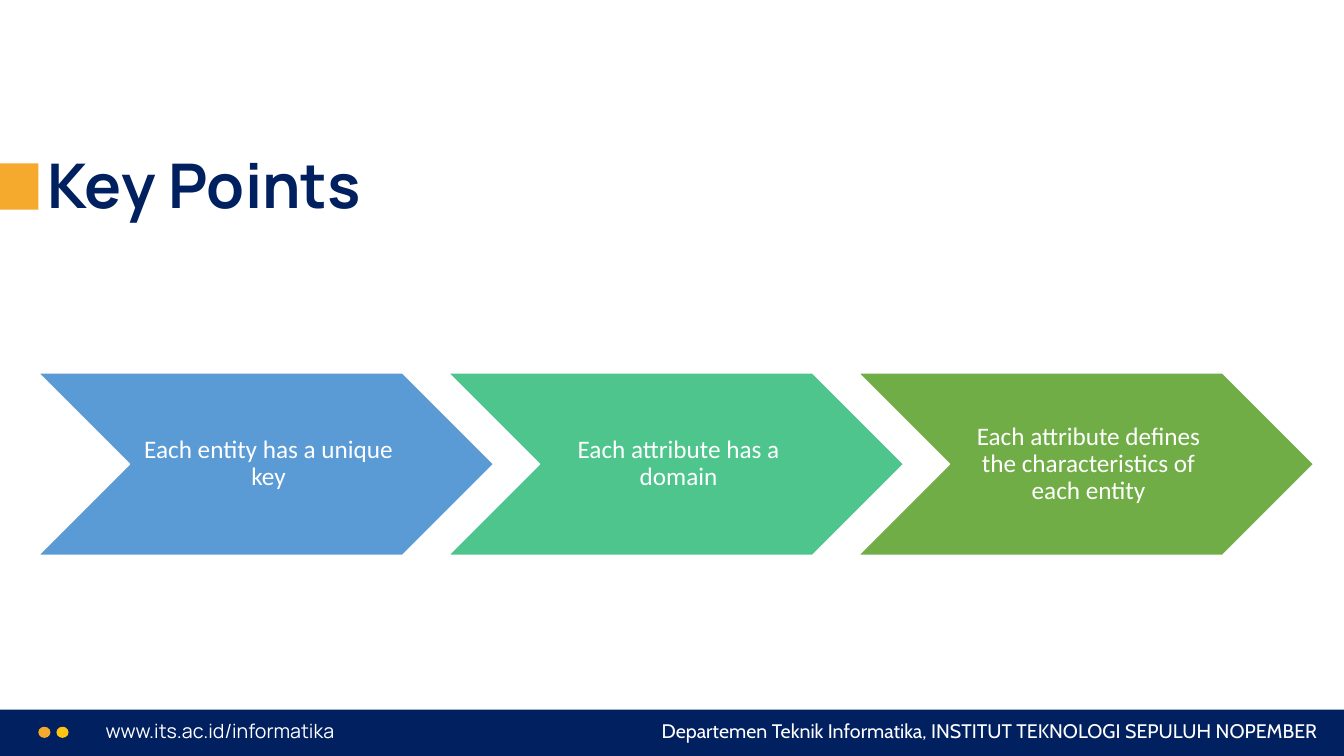
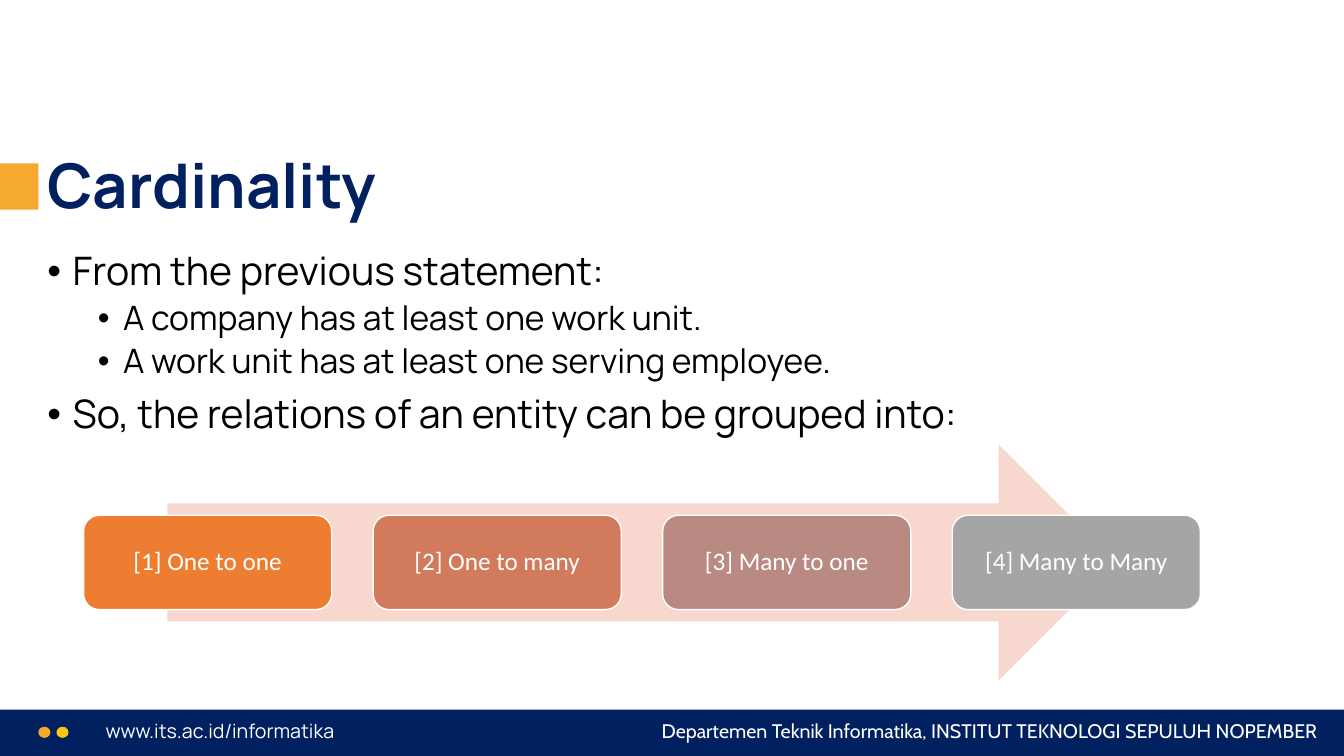
from dataclasses import dataclass

from pptx import Presentation
from pptx.dml.color import RGBColor
from pptx.enum.shapes import MSO_SHAPE as Preset
from pptx.enum.text import MSO_ANCHOR as Anchor, MSO_AUTO_SIZE as AutoSize, PP_ALIGN as Align
from pptx.oxml.ns import qn
from pptx.util import Inches, Pt
from lxml.etree import SubElement


@dataclass(frozen=True)
class Theme:
    navy: str = "002060"
    orange: str = "F5AA2D"
    yellow: str = "FFC411"
    white: str = "FFFFFF"
    black: str = "000000"
    arrow: str = "F8D7CE"
    chevrons: tuple = ("5B9BD5", "4DC58D", "70AD47")
    cards: tuple = ("ED7D31", "D17B5C", "B98A82", "A5A5A5")
    heading_font: str = "Manrope"
    footer_font: str = "Cabin"
    diagram_font: str = "Calibri"
    title_size: int = 44
    list_sizes: tuple = (28, 24)
    diagram_size: int = 18
    footer_size: int = 14
    line_spacing: float = 0.9


@dataclass(frozen=True)
class Box:
    left: float
    top: float
    width: float
    height: float

    def cell(self, left, top, width, height):
        """A box inside this one, on a grid of 100 columns and 100 rows."""
        return Box(self.left + self.width * left / 100, self.top + self.height * top / 100,
                   self.width * width / 100, self.height * height / 100)

    def place(self):
        return [Inches(length) for length in (self.left, self.top, self.width, self.height)]


THEME = Theme()
PAGE = Box(0, 0, 13.33, 7.5)
FOOTER = PAGE.cell(0, 93.87, 100, 6.13)
ACCENT = PAGE.cell(0, 21.6, 2.85, 6.13)
TITLE = PAGE.cell(2.78, 18.4, 95, 11.6)
BODY = PAGE.cell(2.78, 32.67, 95, 57.47)
CHEVRONS = PAGE.cell(2.85, 49.33, 94.9, 24.13)
CARDS = PAGE.cell(6.22, 58.8, 83.1, 31.2)


# Basic parts
def add_run(paragraph, text, font, size, color, bold=False):
    run = paragraph.add_run()
    run.text = text
    run.font.name, run.font.size, run.font.bold = font, Pt(size), bold
    run.font.color.rgb = RGBColor.from_string(color)


def add_preset(slide, preset, box, fill, line=None):
    shape = slide.shapes.add_shape(preset, *box.place())
    shape.shadow.inherit = False
    shape.fill.solid()
    shape.fill.fore_color.rgb = RGBColor.from_string(fill)
    if line:
        shape.line.color.rgb = RGBColor.from_string(line)
        shape.line.width = Pt(1)
    else:
        shape.line.fill.background()
    return shape


def add_label(slide, preset, box, fill, text, insets):
    """A filled shape with a white outline and a centred label."""
    frame = add_preset(slide, preset, box, fill, THEME.white).text_frame
    frame.word_wrap = True
    frame.vertical_anchor = Anchor.MIDDLE
    frame.margin_left, frame.margin_top, frame.margin_right, frame.margin_bottom = map(Inches, insets)
    paragraph = frame.paragraphs[0]
    paragraph.alignment = Align.CENTER
    paragraph.line_spacing = THEME.line_spacing
    add_run(paragraph, text, THEME.diagram_font, THEME.diagram_size, THEME.white)


def move_placeholder(placeholder, box, anchor):
    placeholder.left, placeholder.top, placeholder.width, placeholder.height = box.place()
    frame = placeholder.text_frame
    frame.word_wrap = True
    frame.auto_size = AutoSize.NONE
    frame.vertical_anchor = anchor
    return frame


# Shared regions
def add_footer(slide, box):
    add_preset(slide, Preset.RECTANGLE, box, THEME.navy)
    for left, color in ((2.85, THEME.orange), (4.2, THEME.yellow)):
        add_preset(slide, Preset.OVAL, box.cell(left, 37, 0.9, 24), color)
    captions = (
        (7.12, 32.1, Align.LEFT, THEME.heading_font, "www.its.ac.id/informatika"),
        (44.33, 54.45, Align.RIGHT, THEME.footer_font,
         "Departemen Teknik Informatika, INSTITUT TEKNOLOGI SEPULUH NOPEMBER"),
    )
    for left, width, alignment, font, text in captions:
        frame = slide.shapes.add_textbox(*box.cell(left, 8.7, width, 74).place()).text_frame
        frame.word_wrap = True
        paragraph = frame.paragraphs[0]
        paragraph.alignment = alignment
        add_run(paragraph, text, font, THEME.footer_size, THEME.white)


def add_title(slide, box, text):
    paragraph = move_placeholder(slide.shapes.title, box, Anchor.BOTTOM).paragraphs[0]
    paragraph.alignment = Align.LEFT
    paragraph.line_spacing = THEME.line_spacing
    add_run(paragraph, text, THEME.heading_font, THEME.title_size, THEME.navy, bold=True)


def add_slide(presentation, layout_name, title):
    slide = presentation.slides.add_slide(presentation.slide_layouts.get_by_name(layout_name))
    add_footer(slide, FOOTER)
    add_preset(slide, Preset.RECTANGLE, ACCENT, THEME.orange)
    add_title(slide, TITLE, title)
    return slide


# Content regions
def add_bullets(slide, box, items):
    frame = move_placeholder(slide.placeholders[1], box, Anchor.TOP)
    for index, (level, text) in enumerate(items):
        paragraph = frame.add_paragraph() if index else frame.paragraphs[0]
        paragraph.level = level
        properties = paragraph._p.get_or_add_pPr()
        properties.set("marL", str(Inches(0.25 + 0.5 * level)))
        properties.set("indent", str(Inches(-0.25)))
        SubElement(properties, qn("a:buChar")).set("char", "•")
        paragraph.line_spacing = THEME.line_spacing
        paragraph.space_before = Pt((10, 5)[level] if index else 0)
        add_run(paragraph, text, THEME.heading_font, THEME.list_sizes[level], THEME.black)


def add_chevrons(slide, box, labels):
    """Chevrons whose boxes each overlap the next by a tenth of their width."""
    width = 100 / (len(labels) - 0.1 * (len(labels) - 1))
    for index, (text, color) in enumerate(zip(labels, THEME.chevrons)):
        add_label(slide, Preset.CHEVRON, box.cell(index * width * 0.9, 0, width, 100),
                  color, text, (0.08, 0.03, 0.03, 0.03))


def add_card_arrow(slide, box, labels):
    """Cards over a wide arrow, with gaps of a sixth of a card."""
    add_preset(slide, Preset.RIGHT_ARROW, box.cell(7.5, 0, 85, 100), THEME.arrow)
    width = 100 / (len(labels) + (len(labels) - 1) / 6)
    for index, (text, color) in enumerate(zip(labels, THEME.cards)):
        add_label(slide, Preset.ROUNDED_RECTANGLE, box.cell(index * width * 7 / 6, 30, width, 40),
                  color, text, (0.07,) * 4)


# Slides
def build_key_points(presentation):
    slide = add_slide(presentation, "Title Only", "Key Points")
    add_chevrons(slide, CHEVRONS, (
        "Each entity has a unique key",
        "Each attribute has a domain",
        "Each attribute defines the characteristics of each entity",
    ))


def build_cardinality(presentation):
    slide = add_slide(presentation, "Title and Content", "Cardinality")
    add_bullets(slide, BODY, (
        (0, "From the previous statement:"),
        (1, "A company has at least one work unit."),
        (1, "A work unit has at least one serving employee."),
        (0, "So, the relations of an entity can be grouped into:"),
    ))
    add_card_arrow(slide, CARDS, (
        "[1] One to one", "[2] One to many", "[3] Many to one", "[4] Many to Many",
    ))


def main():
    presentation = Presentation()
    presentation.slide_width, presentation.slide_height = Inches(PAGE.width), Inches(PAGE.height)
    build_key_points(presentation)
    build_cardinality(presentation)
    presentation.save("out.pptx")


if __name__ == "__main__":
    main()
